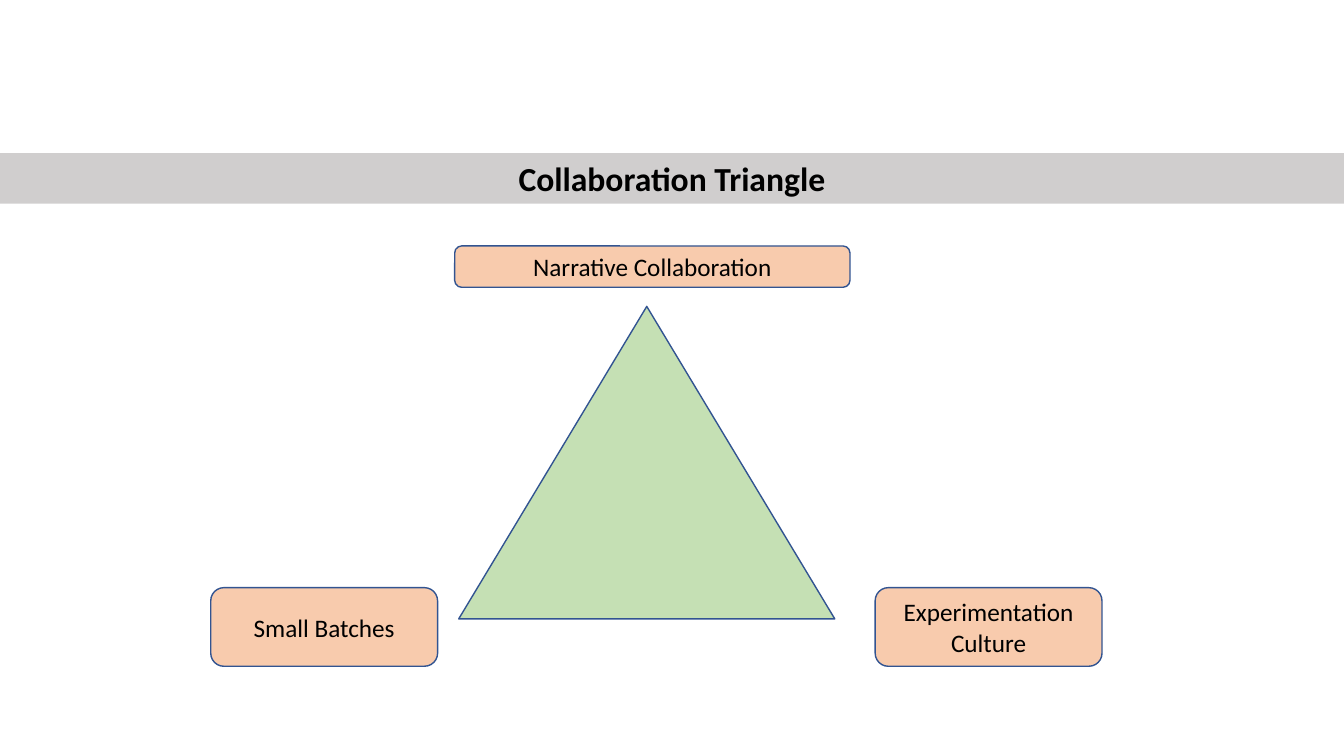
from pptx import Presentation
from pptx.dml.color import RGBColor
from pptx.enum.shapes import MSO_SHAPE
from pptx.enum.text import MSO_ANCHOR, PP_ALIGN
from pptx.util import Inches, Pt

COLORS = {
    "band": "D0CECE",
    "triangle": "C5E0B4",
    "label": "F8CBAD",
    "outline": "325491",
    "text": "000000",
}
SLIDE_WIDTH, SLIDE_HEIGHT = 13.33, 7.5


class TriangleSlide:
    """Holds the style and the current slide."""

    font = "Calibri"
    line_width = Pt(1)

    def __init__(self, slide):
        """Keep the slide to draw on."""
        self.slide = slide

    def color(self, name):
        """Look up a named colour."""
        return RGBColor.from_string(COLORS[name])

    def shape(self, kind, box, fill, outlined=True):
        """Add a filled preset shape, box in inches."""
        shape = self.slide.shapes.add_shape(kind, *map(Inches, box))
        shape.shadow.inherit = False
        shape.fill.solid()
        shape.fill.fore_color.rgb = self.color(fill)
        if outlined:
            shape.line.color.rgb = self.color("outline")
            shape.line.width = self.line_width
        else:
            shape.line.fill.background()
        return shape

    def centered_text(self, shape, text, size, bold=False):
        """Centre a text in a shape."""
        frame = shape.text_frame
        frame.word_wrap = True
        frame.vertical_anchor = MSO_ANCHOR.MIDDLE
        paragraph = frame.paragraphs[0]
        paragraph.alignment = PP_ALIGN.CENTER
        run = paragraph.add_run()
        run.text = text
        run.font.name = self.font
        run.font.size = Pt(size)
        run.font.bold = bold
        run.font.color.rgb = self.color("text")

    def title_band(self, text, top, height):
        """Add the full-width title band."""
        box = (0, top, SLIDE_WIDTH, height)
        band = self.shape(MSO_SHAPE.RECTANGLE, box, "band", outlined=False)
        self.centered_text(band, text, 24, bold=True)

    def triangle(self, box):
        """Add the central triangle."""
        self.shape(MSO_SHAPE.ISOSCELES_TRIANGLE, box, "triangle")

    def corner_label(self, text, box):
        """Add a rounded label beside a corner of the triangle."""
        label = self.shape(MSO_SHAPE.ROUNDED_RECTANGLE, box, "label")
        self.centered_text(label, text, 18)


def main():
    """Build and save the slide."""
    deck = Presentation()
    deck.slide_width, deck.slide_height = Inches(SLIDE_WIDTH), Inches(SLIDE_HEIGHT)
    page = TriangleSlide(deck.slides.add_slide(deck.slide_layouts[6]))

    page.title_band("Collaboration Triangle", 1.52, 0.5)
    page.triangle((4.55, 3.04, 3.73, 3.1))
    page.corner_label("Narrative Collaboration", (4.51, 2.44, 3.92, 0.41))
    for text, left in (("Experimentation Culture", 8.68), ("Small Batches", 2.09)):
        page.corner_label(text, (left, 5.83, 2.25, 0.78))

    deck.save("out.pptx")


main()
